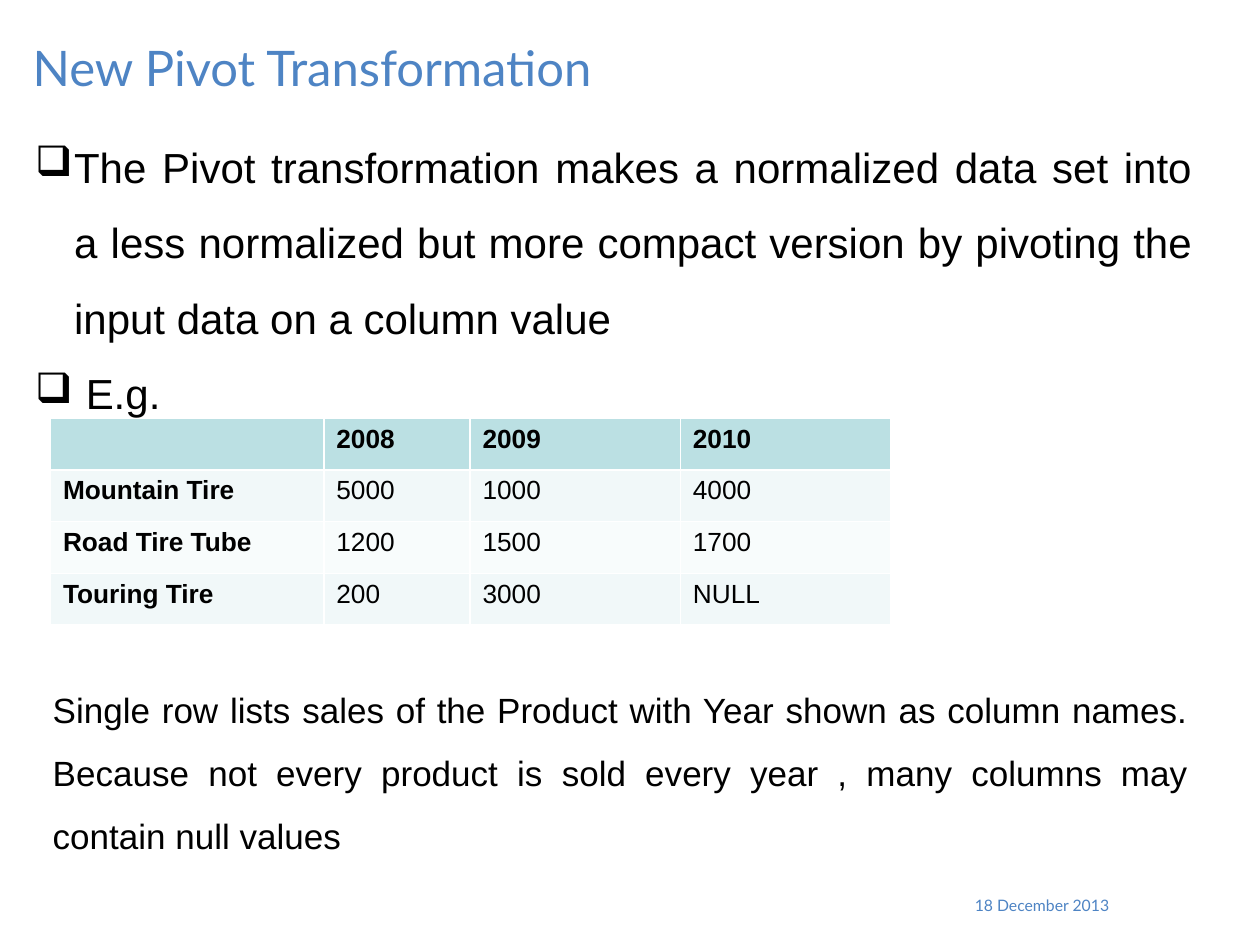
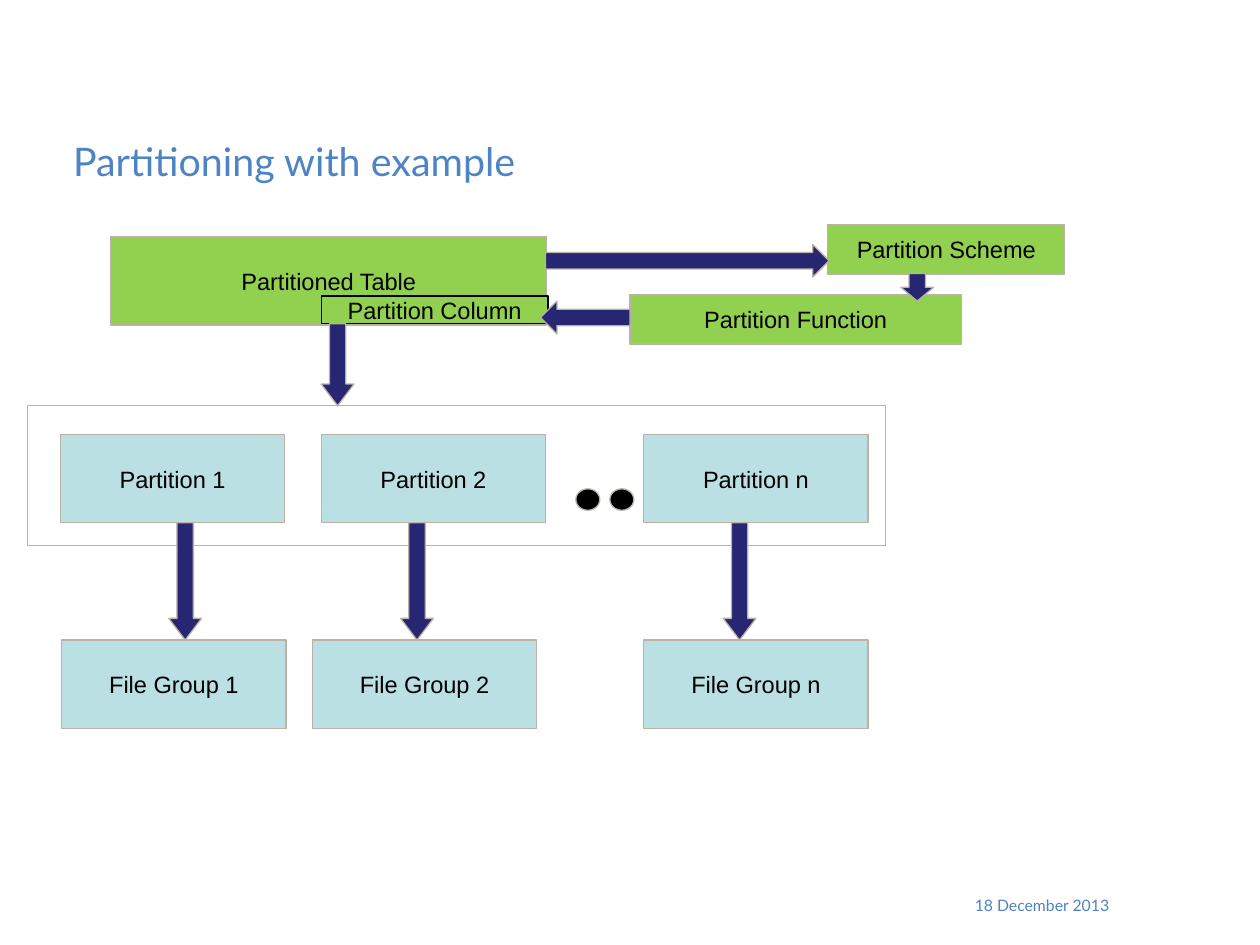
"""Build two slides on pivoting and partitioning."""
from lxml import etree
from pptx import Presentation
from pptx import util as u
from pptx.dml.color import RGBColor
from pptx.enum import shapes, text
from pptx.oxml.ns import qn

WIDE, HIGH = 10, 7.5
BLUE, NAVY, GREEN, PALE = "4E84C4", "262672", "92D050", "BBE0E3"
BLACK, WHITE, EDGE = "000000", "FFFFFF", "BBB1A5"
HEAD, BODY = "Lato", "Arial"
DATE = "18 December 2013"

POINTS = [
    "The Pivot transformation makes a normalized data set into a less "
    "normalized but more compact version by pivoting the input data on a "
    "column value",
    " E.g. ",
]
SALES = [
    ("", "2008", "2009", "2010"),
    ("Mountain Tire", "5000", "1000", "4000"),
    ("Road Tire Tube", "1200", "1500", "1700"),
    ("Touring Tire", "200", "3000", "NULL"),
]
COLS, ROW = (2.17, 1.16, 1.67, 1.67), 0.41
BANDS = ("F8FCFC", "F1F8F9")
NOTE = ("Single row lists sales of the Product with Year shown as column "
        "names. Because not every product is sold every year , many columns "
        "may contain null values ")

LINKS = [
    ("Partitioned Table", (0.88, 1.88, 3.46, 0.7), EDGE),
    ("Partition Column", (2.55, 2.35, 1.8, 0.22), BLACK),
    ("Partition Function", (5, 2.34, 2.63, 0.39), EDGE),
    ("Partition Scheme", (6.57, 1.78, 1.88, 0.4), EDGE),
]
LANES = [("1", 0.48, 0.49, 1.47), ("2", 2.55, 2.48, 3.31),
         ("n", 5.11, 5.11, 5.87)]
BOX, PART, GROUP = (1.78, 0.7), 3.45, 5.08
FRAME = (0.22, 3.22, 6.81, 1.11)
DOT, DOTS, GAP = (0.19, 0.17), (4.57, 3.88), 0.27
THICK = 0.26

KIND = shapes.MSO_SHAPE
ALIGN = text.PP_ALIGN


def tint(code):
    return RGBColor.from_string(code)


def place(item, at):
    item.left, item.top, item.width, item.height = map(u.Inches, at)


def mark(para, sign, hang):
    props = para._p.get_or_add_pPr()
    props.set("marL", str(u.Inches(hang)))
    props.set("indent", str(-u.Inches(hang)))
    hue = etree.SubElement(props, qn("a:buClr"))
    etree.SubElement(hue, qn("a:srgbClr")).set("val", BLACK)
    etree.SubElement(props, qn("a:buChar")).set("char", sign)


def write(frame, words, size=13.5, face=BODY, color=BLACK, bold=False,
          align=ALIGN.LEFT, anchor=text.MSO_ANCHOR.TOP, pad=(0.1, 0.05),
          lead=None, sign=None):
    lines = [words] if isinstance(words, str) else words
    frame.word_wrap = True
    frame.auto_size = text.MSO_AUTO_SIZE.NONE
    frame.vertical_anchor = anchor
    frame.margin_left = frame.margin_right = u.Inches(pad[0])
    frame.margin_top = frame.margin_bottom = u.Inches(pad[1])
    for num, line in enumerate(lines):
        para = frame.add_paragraph() if num else frame.paragraphs[0]
        if sign:
            mark(para, sign, 0.31)
        para.alignment = align
        if lead:
            para.line_spacing = lead
        run = para.add_run()
        run.text = line
        font = run.font
        font.size, font.name, font.bold = u.Pt(size), face, bold
        font.color.rgb = tint(color)


def label(slide, words, at, **form):
    box = slide.shapes.add_textbox(*map(u.Inches, at))
    write(box.text_frame, words, **form)


def draw(slide, kind, at, fill, words="", line=EDGE, tip=None):
    item = slide.shapes.add_shape(kind, *map(u.Inches, at))
    item.shadow.inherit = False
    item.fill.solid()
    item.fill.fore_color.rgb = tint(fill)
    item.line.color.rgb = tint(line)
    item.line.width = u.Pt(0.75)
    if tip:
        item.adjustments[1] = tip
    if words:
        write(item.text_frame, words, align=ALIGN.CENTER,
              anchor=text.MSO_ANCHOR.MIDDLE, pad=(0.07, 0.04))


def drop(slide, mid, top, end, tip):
    draw(slide, KIND.DOWN_ARROW, (mid - THICK / 2, top, THICK, end - top),
         NAVY, tip=tip)


def start(deck, title, at, size, anchor):
    slide = deck.slides.add_slide(deck.slide_layouts[5])
    place(slide.shapes.title, at)
    write(slide.shapes.title.text_frame, title, size=size, face=HEAD,
          color=BLUE, anchor=anchor)
    label(slide, DATE, (7.35, 7.06, 1.55, 0.35), size=9, face=HEAD,
          color=BLUE, align=ALIGN.RIGHT)
    return slide


def grid(slide, left, top):
    size = (sum(COLS), ROW * len(SALES))
    table = slide.shapes.add_table(len(SALES), len(COLS), *map(
        u.Inches, (left, top, *size))).table
    for col, width in zip(table.columns, COLS):
        col.width = u.Inches(width)
    for r, row in enumerate(SALES):
        table.rows[r].height = u.Inches(ROW)
        for c, value in enumerate(row):
            cell = table.cell(r, c)
            cell.fill.solid()
            cell.fill.fore_color.rgb = tint(BANDS[r % 2] if r else PALE)
            if value:
                para = cell.text_frame.paragraphs[0]
                run = para.add_run()
                run.text = value
                run.font.size, run.font.name = u.Pt(15), BODY
                run.font.bold = r == 0 or c == 0
                run.font.color.rgb = tint(BLACK)


def pivot(deck):
    slide = start(deck, "New Pivot Transformation", (0.16, 0.25, 9.65, 0.67),
                  28, text.MSO_ANCHOR.TOP)
    label(slide, POINTS, (0.18, 0.87, 9.38, 2.52), size=24,
          align=ALIGN.JUSTIFY, lead=1.5, sign="❑")
    grid(slide, 0.4, 3.32)
    label(slide, NOTE, (0.32, 5.25, 9.21, 1.61), size=20,
          align=ALIGN.JUSTIFY, lead=1.5)


def parts(deck):
    slide = start(deck, "Partitioning with example", (0.48, 1, 7.39, 0.55),
                  22.5, text.MSO_ANCHOR.MIDDLE)
    draw(slide, KIND.RECTANGLE, FRAME, WHITE)
    for words, at, line in LINKS:
        draw(slide, KIND.RECTANGLE, at, GREEN, words, line)
    for num in range(2):
        draw(slide, KIND.OVAL, (DOTS[0] + num * GAP, DOTS[1], *DOT), BLACK)
    for name, upper, lower, mid in LANES:
        draw(slide, KIND.RECTANGLE, (upper, PART, *BOX), PALE,
             f"Partition {name}")
        draw(slide, KIND.RECTANGLE, (lower, GROUP, *BOX), PALE,
             f"File Group {name}")
        drop(slide, mid, PART + BOX[1], GROUP, 0.66)
    drop(slide, 2.68, 2.57, FRAME[1], 0.66)
    drop(slide, 7.28, 2.17, 2.39, 0.5)
    draw(slide, KIND.RIGHT_ARROW, (4.33, 1.94, 2.25, THICK), NAVY, tip=0.5)
    draw(slide, KIND.LEFT_ARROW, (4.29, 2.39, 0.71, THICK), NAVY, tip=0.5)


def main():
    deck = Presentation()
    deck.slide_width, deck.slide_height = u.Inches(WIDE), u.Inches(HIGH)
    pivot(deck)
    parts(deck)
    deck.save("out.pptx")


if __name__ == "__main__":
    main()
